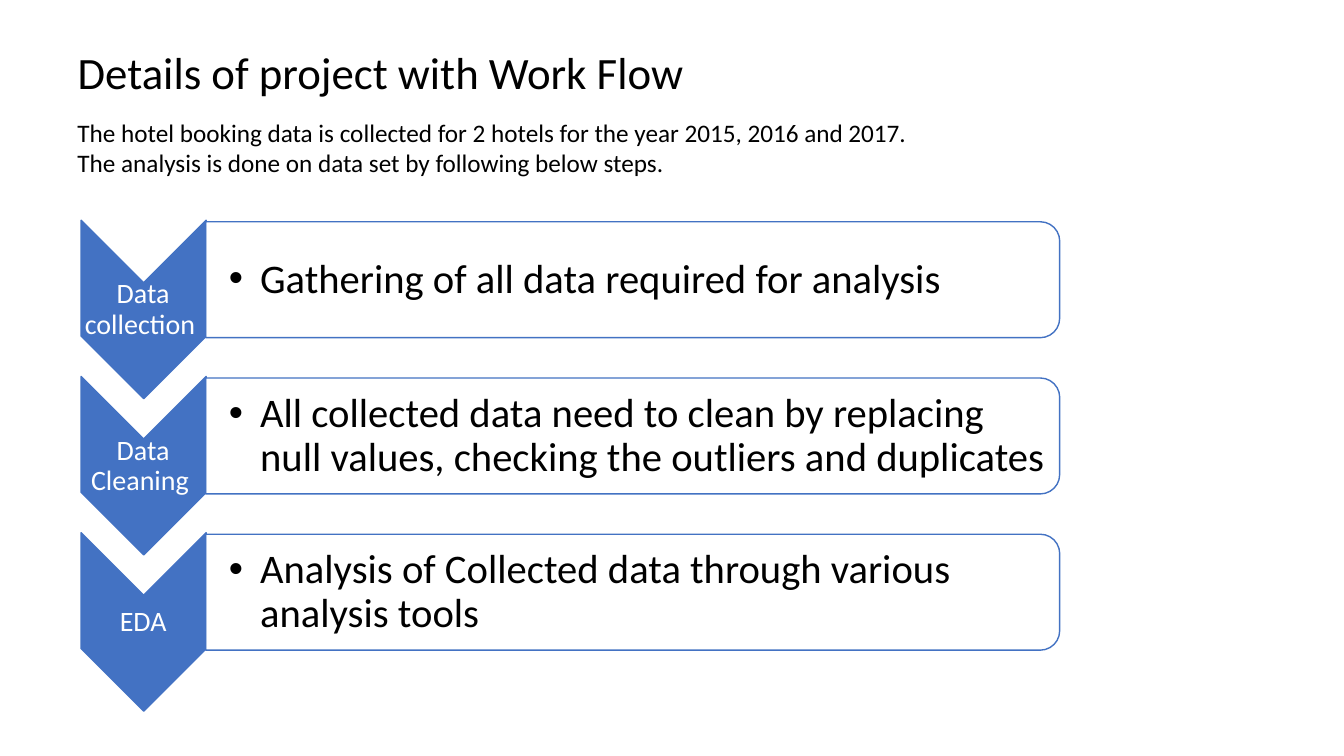
from lxml.etree import SubElement
from pptx import Presentation
from pptx.dml.color import RGBColor
from pptx.enum.shapes import MSO_SHAPE
from pptx.enum.text import MSO_ANCHOR, MSO_AUTO_SIZE, PP_ALIGN
from pptx.oxml.ns import qn
from pptx.util import Inches, Pt

COLORS = {"blue": "4372C3", "white": "FFFFFF", "black": "000000"}
STEPS = [
    ("Data collection ", "Gathering of all data required for analysis"),
    ("Data Cleaning ", "All collected data need to clean by replacing null values, "
                       "checking the outliers and duplicates"),
    ("EDA", "Analysis of Collected data through various analysis tools"),
]
PITCH = 1.55


def color(name):
    return RGBColor.from_string(COLORS[name])


def write_text(frame, lines, size, ink="black", align=PP_ALIGN.LEFT,
               anchor=MSO_ANCHOR.MIDDLE, spacing=0.9, insets=(0.1, 0.05, 0.1, 0.05),
               bullet=False, auto_size=MSO_AUTO_SIZE.NONE):
    frame.word_wrap = True
    frame.auto_size = auto_size
    frame.vertical_anchor = anchor
    frame.margin_left, frame.margin_top, frame.margin_right, frame.margin_bottom = map(Inches, insets)
    for index, line in enumerate(lines):
        para = frame.add_paragraph() if index else frame.paragraphs[0]
        para.alignment = align
        para.line_spacing = spacing
        if bullet:
            add_bullet(para, ink)
        span = para.add_run()
        span.text = line
        span.font.name = "Calibri"
        span.font.size = Pt(size)
        span.font.color.rgb = color(ink)


def add_bullet(para, ink):
    para.level = 1
    properties = para._p.get_or_add_pPr()
    properties.set("marL", str(Inches(0.31)))
    properties.set("indent", str(Inches(-0.31)))
    tint = SubElement(properties, qn("a:buClr"))
    SubElement(tint, qn("a:srgbClr"), val=COLORS[ink])
    SubElement(properties, qn("a:buFont"), typeface="Arial")
    SubElement(properties, qn("a:buChar"), char="•")


class WorkflowSlide:
    def __init__(self, deck):
        self.page = deck.slides.add_slide(deck.slide_layouts[5])

    def title(self, text, left, top, width, height):
        box = self.page.shapes.title
        box.left, box.top, box.width, box.height = map(Inches, (left, top, width, height))
        write_text(box.text_frame, [text], 32)

    def text(self, lines, left, top, width, height, **style):
        box = self.page.shapes.add_textbox(*map(Inches, (left, top, width, height)))
        write_text(box.text_frame, lines, **style)

    def turned_shape(self, kind, left, top, width, height, adjustments, fill, opacity=100):
        shape = self.page.shapes.add_shape(kind, *map(Inches, (left, top, width, height)))
        shape.rotation = 90
        shape.shadow.inherit = False
        for index, value in enumerate(adjustments):
            shape.adjustments[index] = value
        shape.fill.solid()
        shape.fill.fore_color.rgb = color(fill)
        if opacity < 100:
            tint = shape._element.spPr.find(qn("a:solidFill"))[0]
            SubElement(tint, qn("a:alpha"), val=str(opacity * 1000))
        shape.line.color.rgb = color("blue")
        shape.line.width = Pt(1)

    def step(self, label, detail, offset):
        self.turned_shape(MSO_SHAPE.CHEVRON, 0.54, 2.45 + offset, 1.77, 1.24, [0.5], "blue")
        self.text([label], 0.8, 2.81 + offset, 1.24, 0.53, size=20, ink="white",
                  align=PP_ALIGN.CENTER, insets=[0.01] * 4)
        self.turned_shape(MSO_SHAPE.ROUND_2_SAME_RECTANGLE, 5.7, -1.46 + offset, 1.15, 8.47,
                          [0.167, 0], "white", opacity=90)
        self.text([detail], 2.04, 2.26 + offset, 8.41, 1.04, size=29, bullet=True,
                  insets=(0.23, 0.02, 0.02, 0.02))


def main():
    deck = Presentation()
    deck.slide_width, deck.slide_height = Inches(13.33), Inches(7.5)
    slide = WorkflowSlide(deck)
    slide.title("Details of project with Work Flow", 0.67, 0.48, 6.35, 0.52)
    for index, (label, detail) in enumerate(STEPS):
        slide.step(label, detail, index * PITCH)
    slide.text(["The hotel booking data is collected for 2 hotels for the year 2015, 2016 and 2017.",
                "The analysis is done on data set by following below steps."],
               0.67, 1.11, 9.33, 0.71, size=18, spacing=1.0, anchor=MSO_ANCHOR.TOP,
               auto_size=MSO_AUTO_SIZE.SHAPE_TO_FIT_TEXT)
    deck.save("out.pptx")


if __name__ == "__main__":
    main()
